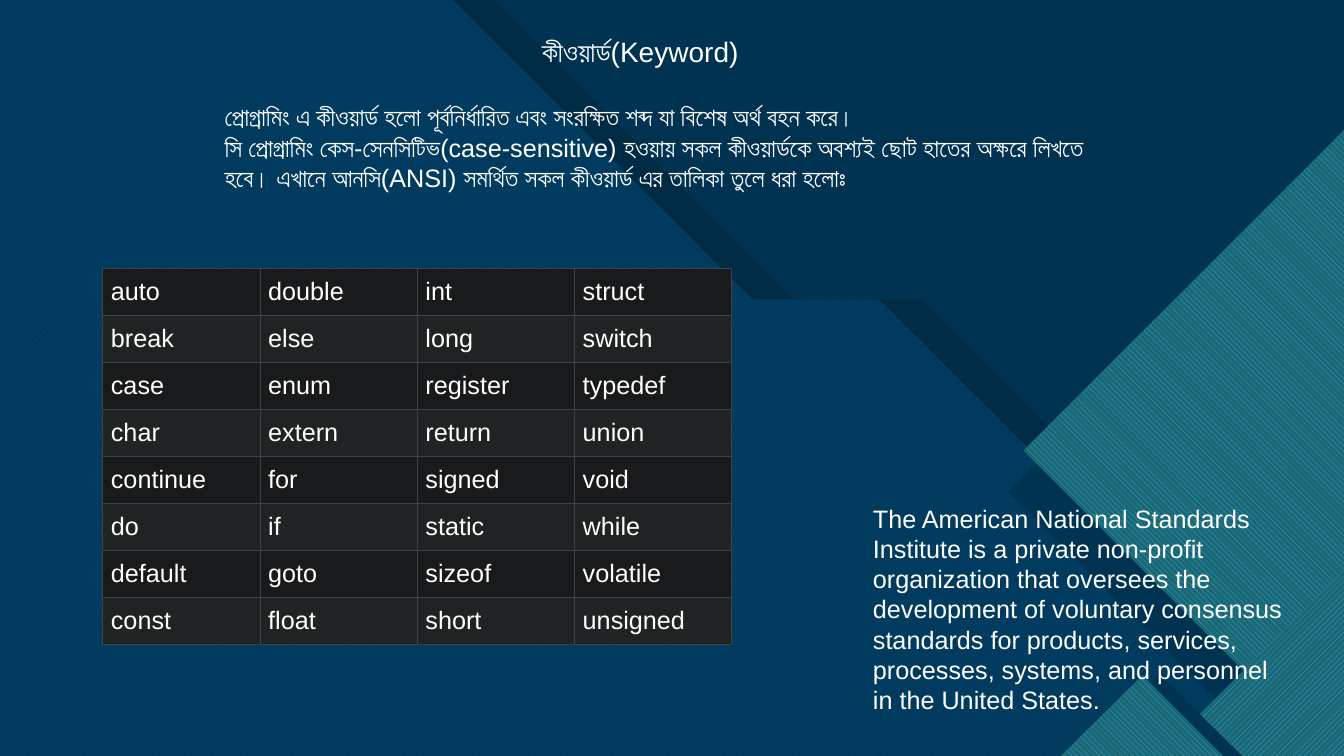
from pptx import Presentation
from pptx.dml.color import RGBColor
from pptx.enum.dml import MSO_PATTERN
from pptx.enum.shapes import MSO_SHAPE
from pptx.enum.text import MSO_ANCHOR, PP_ALIGN
from pptx.oxml import parse_xml
from pptx.oxml.ns import nsdecls
from pptx.util import Inches, Pt

RECT = MSO_SHAPE.RECTANGLE
UP_DIAG = MSO_PATTERN.WIDE_UPWARD_DIAGONAL
DOWN_DIAG = MSO_PATTERN.WIDE_DOWNWARD_DIAGONAL
MIDDLE, TOP = MSO_ANCHOR.MIDDLE, MSO_ANCHOR.TOP
LEFT, CENTER = PP_ALIGN.LEFT, PP_ALIGN.CENTER

NAVY = RGBColor(0x00, 0x33, 0x52)
BLACK = RGBColor(0x00, 0x00, 0x00)
WHITE = RGBColor(0xFF, 0xFF, 0xFF)
BLUE = RGBColor(0x00, 0x65, 0xA4)
AQUA = RGBColor(0x47, 0xC3, 0xD3)
SKY = RGBColor(0x2F, 0xAF, 0xFF)
TEAL = RGBColor(0x1B, 0x68, 0x72)
ROW_DARK = RGBColor(0x18, 0x1A, 0x1B)
ROW_LIGHT = RGBColor(0x20, 0x23, 0x24)
BORDER = RGBColor(0x3E, 0x44, 0x46)

FONT = "Arial"
WIDTH, HEIGHT = 13.33, 7.5
STEP = 2.97  # height of the slanted step in the background panels

TITLE = "কীওয়ার্ড(Keyword)"
INTRO = [
    "প্রোগ্রামিং এ কীওয়ার্ড হলো পূর্বনির্ধারিত এবং সংরক্ষিত শব্দ যা বিশেষ অর্থ বহন করে।",
    "সি প্রোগ্রামিং কেস-সেনসিটিভ(case-sensitive) হওয়ায় সকল কীওয়ার্ডকে অবশ্যই ছোট হাতের "
    "অক্ষরে লিখতে হবে। এখানে আনসি(ANSI) সমর্থিত সকল কীওয়ার্ড এর তালিকা তুলে ধরা হলোঃ",
]
ANSI_NOTE = (
    "The American National Standards Institute is a private non-profit "
    "organization that oversees the development of voluntary consensus standards "
    "for products, services, processes, systems, and personnel in the United States."
)
KEYWORDS = [
    ["auto", "double", "int", "struct"],
    ["break", "else", "long", "switch"],
    ["case", "enum", "register", "typedef"],
    ["char", "extern", "return", "union"],
    ["continue", "for", "signed", "void"],
    ["do", "if", "static", "while"],
    ["default", "goto", "sizeof", "volatile"],
    ["const", "float", "short", "unsigned"],
]


def paint(s, color, pattern=None, back=None, alpha=None):
    """Fill a shape with a solid colour or a pattern, without line or shadow."""
    s.shadow.inherit = False
    s.line.fill.background()
    if pattern is None:
        s.fill.solid()
        s.fill.fore_color.rgb = color
    else:
        s.fill.patterned()
        s.fill.pattern = pattern
        s.fill.fore_color.rgb = color
        s.fill.back_color.rgb = back
    if alpha is not None:
        clr = s.fill._xPr.solidFill[0]
        clr.append(parse_xml(f'<a:alpha {nsdecls("a")} val="{alpha * 1000}"/>'))


def add_polygon(slide, points, color, **fill):
    points = [(Inches(x), Inches(y)) for x, y in points]
    builder = slide.shapes.build_freeform(*points[0])
    builder.add_line_segments(points[1:], close=True)
    paint(builder.convert_to_shape(), color, **fill)


def stepped_panel(top_right):
    """Outline that runs down 45 degrees, level for a while, then down again."""
    knee = top_right + STEP
    ledge = knee + 1.26
    drop = min(WIDTH - ledge, HEIGHT - STEP)
    return [(0, 0), (top_right, 0), (knee, STEP), (ledge, STEP),
            (ledge + drop, STEP + drop), (ledge + drop, HEIGHT), (0, HEIGHT)]


def add_background(slide):
    base = slide.shapes.add_shape(RECT, 0, 0, Inches(WIDTH), Inches(HEIGHT))
    paint(base, NAVY)
    # Stepped panels on the left
    add_polygon(slide, stepped_panel(4.9), BLACK)
    add_polygon(slide, stepped_panel(4.49), AQUA, pattern=UP_DIAG, back=BLUE)
    add_polygon(slide, stepped_panel(6.95), NAVY, alpha=85)
    # Large corner and its shade
    add_polygon(slide, [(WIDTH, 1.55), (WIDTH, 7.08), (12.2, 7.08), (10, 4.88)], NAVY)
    add_polygon(slide, [(WIDTH, 1.29), (WIDTH, 7.37), (13.05, 7.37), (10.15, 4.47)],
                SKY, pattern=DOWN_DIAG, back=TEAL)
    # Lower right corner
    add_polygon(slide, [(WIDTH, 5.66), (WIDTH, HEIGHT), (11.49, HEIGHT)],
                SKY, pattern=UP_DIAG, back=TEAL)
    # Small bottom triangle and its shade
    add_polygon(slide, [(12.32, HEIGHT), (11.5, 6.69), (10.69, HEIGHT)], NAVY)
    add_polygon(slide, [(10.52, HEIGHT), (11.33, 6.7), (12.13, HEIGHT)],
                SKY, pattern=DOWN_DIAG, back=TEAL)


def add_run(p, text, size):
    r = p.add_run()
    r.text = text
    r.font.size = Pt(size)
    r.font.name = FONT
    r.font.color.rgb = WHITE


def add_text(slide, box, paragraphs, size=18, align=LEFT, anchor=TOP):
    tf = slide.shapes.add_textbox(*map(Inches, box)).text_frame
    tf.word_wrap = True
    tf.vertical_anchor = anchor
    for i, text in enumerate(paragraphs):
        p = tf.add_paragraph() if i else tf.paragraphs[0]
        p.alignment = align
        add_run(p, text, size)


def set_borders(cell):
    tcPr = cell._tc.get_or_add_tcPr()
    for i, side in enumerate(("lnL", "lnR", "lnT", "lnB")):
        tcPr.insert(i, parse_xml(
            f'<a:{side} {nsdecls("a")} w="{Pt(0.75)}"><a:solidFill>'
            f'<a:srgbClr val="{BORDER}"/></a:solidFill></a:{side}>'))


def add_keyword_table(slide, left, top, width, height):
    frame = slide.shapes.add_table(len(KEYWORDS), len(KEYWORDS[0]), Inches(left),
                                   Inches(top), Inches(width), Inches(height))
    for i, row in enumerate(KEYWORDS):
        for j, word in enumerate(row):
            cell = frame.table.cell(i, j)
            cell.margin_left = cell.margin_right = Inches(0.08)
            cell.margin_top = cell.margin_bottom = Inches(0.08)
            cell.vertical_anchor = MIDDLE
            cell.fill.solid()
            cell.fill.fore_color.rgb = ROW_LIGHT if i % 2 else ROW_DARK
            set_borders(cell)
            add_run(cell.text_frame.paragraphs[0], word, 18)


def main():
    prs = Presentation()
    prs.slide_width, prs.slide_height = Inches(WIDTH), Inches(HEIGHT)
    slide = prs.slides.add_slide(prs.slide_layouts[6])
    add_background(slide)
    add_text(slide, (4.27, 0.16, 4.16, 0.7), [TITLE], 20, CENTER, MIDDLE)
    add_text(slide, (2.13, 0.96, 9.14, 1.31), INTRO)
    add_keyword_table(slide, 1.02, 2.66, 6.24, 3.73)
    add_text(slide, (8.56, 4.94, 4.3, 2.22), [ANSI_NOTE])
    prs.save("out.pptx")


if __name__ == "__main__":
    main()
